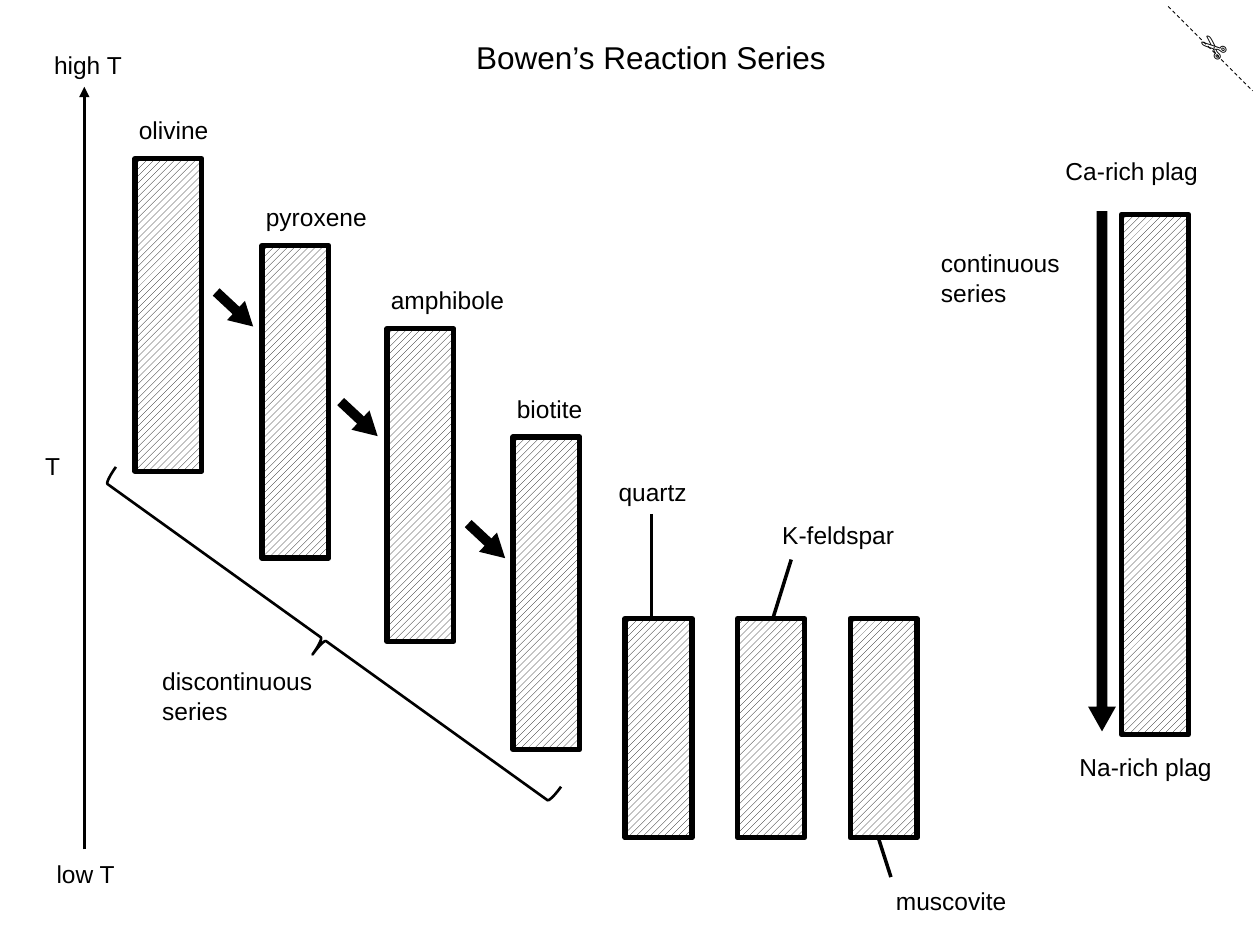
from lxml.etree import SubElement
from pptx import Presentation
from pptx.dml.color import RGBColor
from pptx.enum.dml import MSO_LINE, MSO_PATTERN
from pptx.enum.shapes import MSO_CONNECTOR, MSO_SHAPE
from pptx.enum.text import MSO_AUTO_SIZE
from pptx.oxml.ns import qn
from pptx.util import Cm, Pt

BLACK = RGBColor(0x00, 0x00, 0x00)
WHITE = RGBColor(0xFF, 0xFF, 0xFF)
BAR_WIDTH = 1.35
LABEL_HEIGHT = 0.86
TWO_LINE_HEIGHT = 1.45


def add_label(slide, text, left, top, width, height=LABEL_HEIGHT, size=14, wrap=False):
    label = slide.shapes.add_textbox(Cm(left), Cm(top), Cm(width), Cm(height))
    frame = label.text_frame
    frame.word_wrap = wrap
    frame.auto_size = MSO_AUTO_SIZE.SHAPE_TO_FIT_TEXT
    paragraph = frame.paragraphs[0]
    paragraph.text = text
    paragraph.font.name = "Arial"
    paragraph.font.size = Pt(size)
    paragraph.font.color.rgb = BLACK
    return label


def add_line(slide, start, end, width):
    line = slide.shapes.add_connector(
        MSO_CONNECTOR.STRAIGHT, Cm(start[0]), Cm(start[1]), Cm(end[0]), Cm(end[1]))
    line.line.color.rgb = BLACK
    line.line.width = Pt(width)
    SubElement(line._element.spPr, qn("a:effectLst"))
    return line


def add_figure(slide, kind, left, top, width, height):
    figure = slide.shapes.add_shape(kind, Cm(left), Cm(top), Cm(width), Cm(height))
    figure.shadow.inherit = False
    return figure


def add_bar(slide, left, top, height):
    bar = add_figure(slide, MSO_SHAPE.RECTANGLE, left, top, BAR_WIDTH, height)
    bar.fill.patterned()
    bar.fill.pattern = MSO_PATTERN.WIDE_UPWARD_DIAGONAL
    bar.fill.fore_color.rgb = BLACK
    bar.fill.back_color.rgb = WHITE
    bar.line.color.rgb = BLACK
    bar.line.width = Pt(3)


def add_block_arrow(slide, left, top, width, height, rotation):
    arrow = add_figure(slide, MSO_SHAPE.RIGHT_ARROW, left, top, width, height)
    arrow.adjustments[0] = 0.379
    arrow.adjustments[1] = 0.891
    arrow.rotation = rotation
    arrow.fill.solid()
    arrow.fill.fore_color.rgb = BLACK
    arrow.line.fill.background()


def add_cut_corner(slide, left, top):
    cut = add_line(slide, (left, top), (left + 1.7, top + 1.7), 0.5)
    cut.line.dash_style = MSO_LINE.DASH
    scissors = add_label(slide, "✄", left + 0.36, top + 0.33, 1.07, 1.02, 18, True)
    scissors.rotation = 220.5


def add_temperature_axis(slide, left, top):
    axis_x = left + 1.04
    axis = add_line(slide, (axis_x, top + 16.23), (axis_x, top + 0.86), 1.5)
    SubElement(axis.line._get_or_add_ln(), qn("a:tailEnd"), type="triangle")
    add_label(slide, "high T", left + 0.18, top, 1.88)
    add_label(slide, "T", left, top + 8.08, 0.81)
    add_label(slide, "low T", left + 0.23, top + 16.31, 1.7)


def add_discontinuous_series(slide, left, top):
    minerals = [
        ("olivine", 0.18, 0.96, 1.93),
        ("pyroxene", 2.74, 2.71, 2.57),
        ("amphibole", 5.26, 4.39, 2.79),
        ("biotite", 7.8, 6.57, 1.83),
    ]
    for mineral, x, y, label_width in minerals:
        add_bar(slide, left + x, top + y, 6.3)
        add_label(slide, mineral, left + x - 0.17, top + y - 1, label_width)
    for x, y in [(1.68, 3.73), (4.19, 5.94), (6.76, 8.4)]:
        add_block_arrow(slide, left + x, top + y, 1.02, 0.53, 43)
    brace = add_figure(slide, MSO_SHAPE.RIGHT_BRACE, left + 3.68, top + 5.18, 0.76, 11.05)
    brace.adjustments[0] = 0.083
    brace.adjustments[1] = 0.509
    brace.rotation = 125.7
    brace.fill.background()
    brace.line.color.rgb = BLACK
    brace.line.width = Pt(1.5)
    add_label(slide, "discontinuous series", left + 0.48, top + 11.07, 4.83,
              TWO_LINE_HEIGHT, wrap=True)


def add_late_minerals(slide, left, top):
    minerals = [
        ("quartz", (0, 0), 1.91, (0.91, 0.86), (0.91, 3)),
        ("K-feldspar", (3.3, 0.86), 2.77, (3.73, 1.78), (3.35, 3)),
        ("muscovite", (5.59, 8.23), 2.74, (5.48, 7.37), (5.74, 8.18)),
    ]
    for index, (mineral, (x, y), width, start, end) in enumerate(minerals):
        add_bar(slide, left + 0.38 + 2.27 * index, top + 2.97, 4.42)
        add_label(slide, mineral, left + x, top + y, width)
        add_line(slide, (left + start[0], top + start[1]),
                 (left + end[0], top + end[1]), 2)


def add_continuous_series(slide, left, top):
    add_bar(slide, left + 3.89, top + 1.3, 10.49)
    add_block_arrow(slide, left - 1.75, top + 6.2, 10.49, 0.56, 90)
    add_label(slide, "Ca-rich plag", left + 2.51, top, 3.18, wrap=True)
    add_label(slide, "continuous series", left, top + 1.86, 3.18,
              TWO_LINE_HEIGHT, wrap=True)
    add_label(slide, "Na-rich plag", left + 2.79, top + 12.02, 3.18, wrap=True)


def main():
    presentation = Presentation()
    presentation.slide_width = Cm(25.4)
    presentation.slide_height = Cm(19.05)
    slide = presentation.slides.add_slide(presentation.slide_layouts[6])
    add_cut_corner(slide, 23.55, 0.13)
    add_label(slide, "Bowen’s Reaction Series", 9.35, 0.64, 7.62, 1.02, 18)
    add_temperature_axis(slide, 0.66, 0.89)
    add_discontinuous_series(slide, 2.54, 2.24)
    add_late_minerals(slide, 12.22, 9.5)
    add_continuous_series(slide, 18.72, 3.02)
    presentation.save("out.pptx")


if __name__ == "__main__":
    main()
